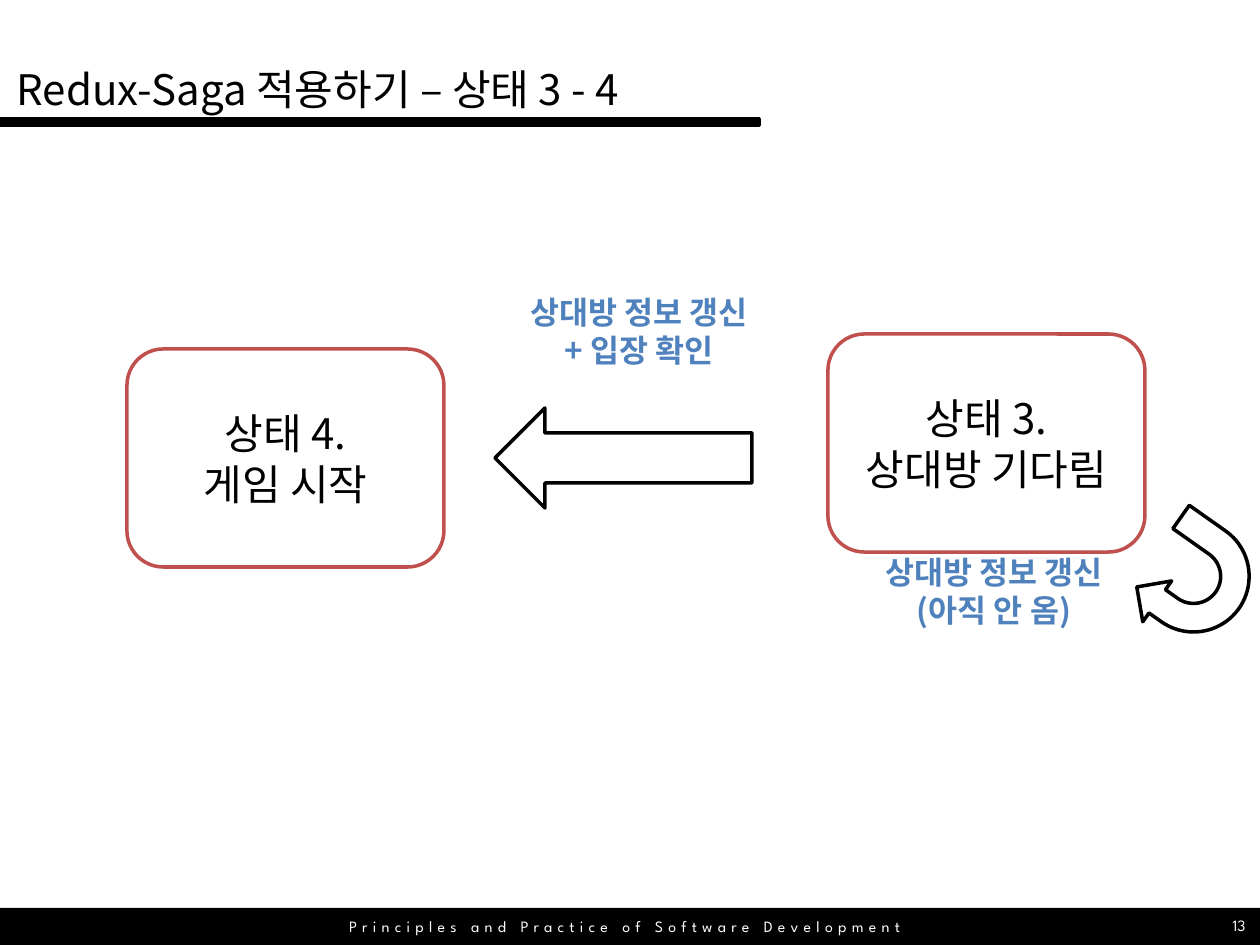
from dataclasses import dataclass
from typing import Optional

from lxml import etree
from pptx import Presentation, util as u
from pptx.dml.color import RGBColor
from pptx.enum import shapes as es, text as et
from pptx.oxml import ns

SCALE = u.Inches(1) // 126
BLACK = RGBColor(0, 0, 0)
WHITE = RGBColor(255, 255, 255)
RED = RGBColor(0xC0, 0x50, 0x4D)
BLUE = RGBColor(0x4F, 0x81, 0xBD)
SANS = "Noto Sans CJK KR"
SPARTAN = "League Spartan"
KIND = es.MSO_SHAPE
ALIGN = et.PP_ALIGN
ANCHOR = et.MSO_ANCHOR


@dataclass(frozen=True)
class Box:
    x: int
    y: int
    w: int
    h: int

    def emu(self) -> list[int]:
        return [v * SCALE for v in (self.x, self.y, self.w, self.h)]


@dataclass(frozen=True)
class Style:
    size: int
    color: RGBColor
    font: str = SANS
    align: ALIGN = ALIGN.CENTER
    anchor: ANCHOR = ANCHOR.MIDDLE
    bold: bool = False
    wrap: bool = True
    lead: Optional[float] = None
    track: int = 0


@dataclass(frozen=True)
class Form:
    kind: KIND
    box: Box
    fill: RGBColor = WHITE
    line: Optional[RGBColor] = BLACK
    turn: float = 0
    adjust: tuple[float, ...] = ()
    lines: tuple[str, ...] = ()


@dataclass(frozen=True)
class Label:
    box: Box
    style: Style
    lines: tuple[str, ...]


HEAD = Style(24, BLACK, align=ALIGN.LEFT, anchor=ANCHOR.TOP, lead=29)
STATE = Style(24, BLACK, lead=29)
NOTE = Style(18, BLUE, anchor=ANCHOR.TOP, bold=True, wrap=False, lead=21.7)
FOOT = Style(9, WHITE, SPARTAN, track=300)
PAGE = Style(9, WHITE, SPARTAN, ALIGN.RIGHT)

FORMS = [
    Form(KIND.RECTANGLE, Box(-6, 908, 1278, 39), BLACK, None),
    Form(KIND.RECTANGLE, Box(0, 119, 759, 6), BLACK),
    Form(KIND.ROUNDED_RECTANGLE, Box(828, 334, 317, 218), line=RED,
         lines=("상태 3.", "상대방 기다림")),
    Form(KIND.ROUNDED_RECTANGLE, Box(127, 349, 317, 218), line=RED,
         lines=("상태 4.", "게임 시작")),
    Form(KIND.RIGHT_ARROW, Box(495, 408, 257, 100), turn=180),
    Form(KIND.U_TURN_ARROW, Box(1134, 534, 122, 100), turn=125.2,
         adjust=(0.285, 0.25, 0.25, 0.709, 0.959)),
]
LABELS = [
    Label(Box(1155, 907, 103, 37), PAGE, ("13",)),
    Label(Box(199, 908, 851, 37), FOOT,
          ("Principles and Practice of Software Development",)),
    Label(Box(854, 547, 280, 89), NOTE, ("상대방 정보 갱신", "(아직 안 옴)")),
    Label(Box(499, 287, 280, 89), NOTE, ("상대방 정보 갱신", "+ 입장 확인")),
]


def write(shape, style: Style, lines: tuple[str, ...]) -> None:
    frame = shape.text_frame
    frame.word_wrap = style.wrap
    frame.auto_size = et.MSO_AUTO_SIZE.NONE
    frame.vertical_anchor = style.anchor
    for i, words in enumerate(lines):
        para = frame.add_paragraph() if i else frame.paragraphs[0]
        para.alignment = style.align
        if style.lead:
            para.line_spacing = u.Pt(style.lead)
        run = para.add_run()
        run.text = words
        font = run.font
        font.name, font.size, font.bold = style.font, u.Pt(style.size), style.bold
        font.color.rgb = style.color
        props = run._r.get_or_add_rPr()
        etree.SubElement(props, ns.qn("a:ea"), typeface=style.font)
        if style.track:
            props.set("spc", str(style.track))


def draw(slide, form: Form) -> None:
    shape = slide.shapes.add_shape(form.kind, *form.box.emu())
    shape.shadow.inherit = False
    shape.rotation = form.turn
    for i, value in enumerate(form.adjust):
        shape.adjustments[i] = value
    shape.fill.solid()
    shape.fill.fore_color.rgb = form.fill
    if form.line is None:
        shape.line.fill.background()
    else:
        shape.line.color.rgb = form.line
        shape.line.width = u.Pt(2)
    if form.lines:
        write(shape, STATE, form.lines)


def label(slide, item: Label) -> None:
    write(slide.shapes.add_textbox(*item.box.emu()), item.style, item.lines)


def main() -> None:
    deck = Presentation()
    deck.slide_width, deck.slide_height = u.Inches(10), u.Inches(7.5)
    slide = deck.slides.add_slide(deck.slide_layouts[5])
    title = slide.shapes.title
    title.left, title.top, title.width, title.height = Box(4, 57, 1320, 63).emu()
    write(title, HEAD, ("Redux-Saga 적용하기 – 상태 3 - 4",))
    for form in FORMS:
        draw(slide, form)
    for item in LABELS:
        label(slide, item)
    deck.save("out.pptx")


main()
